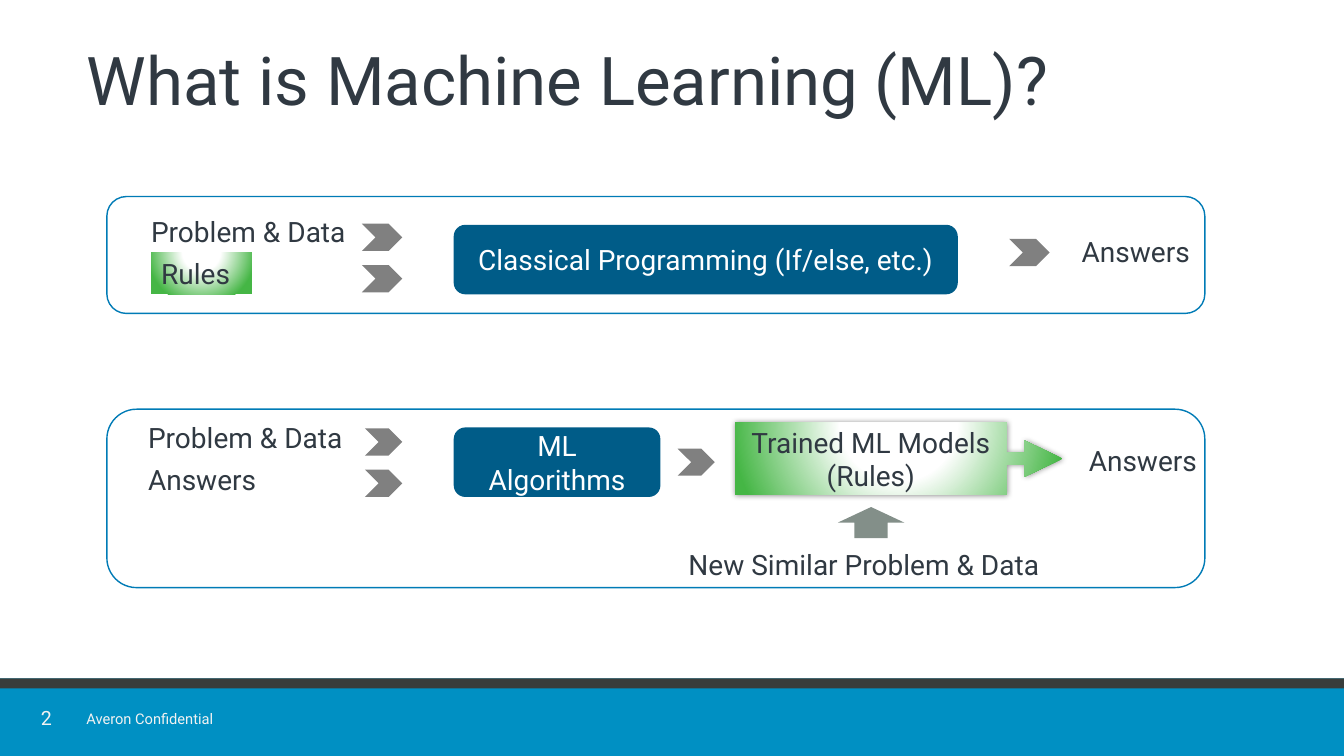
"""Build a slide that compares classical programming with machine learning."""
from dataclasses import dataclass

from lxml import etree
from pptx import Presentation
from pptx.dml import color as c
from pptx.enum import shapes, text
from pptx.oxml import parse_xml
from pptx.oxml import ns
from pptx import util as u


@dataclass(frozen=True)
class Theme:
    font: str = "Roboto"
    ink: str = "303942"
    white: str = "FFFFFF"
    footer_ink: str = "F2F2F2"
    footer: str = "0090C3"
    footer_edge: str = "383D3B"
    step: str = "005C88"
    outline: str = "007BB6"
    chevron: str = "808080"
    input_arrow: str = "838F89"
    rules: str = "45B645"
    title_size: float = 48
    body_size: float = 20
    number_size: float = 14
    footer_size: float = 10.5


theme = Theme()
kind = shapes.MSO_SHAPE
left, center = text.PP_ALIGN.LEFT, text.PP_ALIGN.CENTER
top, middle = text.MSO_ANCHOR.TOP, text.MSO_ANCHOR.MIDDLE

deck = Presentation()
deck.slide_width, deck.slide_height = u.Inches(13.33), u.Inches(7.5)
slide = deck.slides.add_slide(deck.slide_layouts[5])


def write(frame, words, size=theme.body_size, color=theme.ink, align=left,
          anchor=top, spacing=None, wrap=True, inset=None):
    frame.word_wrap = wrap
    frame.auto_size = text.MSO_AUTO_SIZE.NONE
    frame.vertical_anchor = anchor
    if inset is not None:
        frame.margin_left = frame.margin_right = u.Inches(inset)
        frame.margin_top = frame.margin_bottom = u.Inches(inset)
    paragraph = frame.paragraphs[0]
    paragraph.alignment = align
    paragraph.line_spacing = spacing
    run = paragraph.add_run()
    run.text = words
    run.font.name, run.font.size = theme.font, u.Pt(size)
    run.font.color.rgb = c.RGBColor.from_string(color)


def add_block(geometry, box, fill=None, line=None, glow=None):
    block = slide.shapes.add_shape(geometry, *map(u.Inches, box))
    block.shadow.inherit = False
    block.fill.background()
    block.line.fill.background()
    if fill:
        block.fill.solid()
        block.fill.fore_color.rgb = c.RGBColor.from_string(fill)
    if line:
        block.line.color.rgb = c.RGBColor.from_string(line)
        block.line.width = u.Pt(1)
    if glow:
        stops = "".join(
            f'<a:gs pos="{place * 1000}"><a:srgbClr val="{shade}"/></a:gs>'
            for place, shade in ((0, theme.white), (35, theme.white), (100, glow)))
        properties = block._element.spPr
        properties.replace(properties.find(ns.qn("a:noFill")), parse_xml(
            f'<a:gradFill {ns.nsdecls("a")} rotWithShape="1"><a:gsLst>{stops}</a:gsLst>'
            '<a:path path="circle"><a:fillToRect l="50000" t="-80000" r="50000" b="180000"/>'
            '</a:path></a:gradFill>'))
    return block


add_block(kind.RECTANGLE, (0, 6.73, 13.33, 0.77), fill=theme.footer)
add_block(kind.RECTANGLE, (0, 6.73, 13.33, 0.1), fill=theme.footer_edge)
page_number = slide.shapes.add_textbox(*map(u.Inches, (0.33, 7.02, 0.26, 0.23)))
write(page_number.text_frame, "2", size=theme.number_size, color=theme.footer_ink,
      align=center, anchor=middle, spacing=0.9, inset=0)
notice = slide.shapes.add_textbox(*map(u.Inches, (0.76, 6.99, 1.6, 0.28)))
write(notice.text_frame, "Averon Confidential", size=theme.footer_size,
      color=theme.footer_ink, wrap=False)

title = slide.shapes.title
title.left, title.top, title.width, title.height = map(u.Inches, (0.76, 0.32, 11.91, 1.08))
write(title.text_frame, "What is Machine Learning (ML)?", size=theme.title_size,
      anchor=middle, spacing=0.8)

rules = add_block(kind.RECTANGLE, (1.5, 2.5, 1, 0.42), glow=theme.rules)
write(rules.text_frame, "Rules")

for words, box in (
    ("Problem & Data", (1.4, 2.08, 2.21, 0.34)),
    ("Answers", (10.63, 2.28, 2.05, 0.42)),
    ("Problem & Data", (1.37, 4.12, 2.21, 0.34)),
    ("Answers", (1.37, 4.54, 2.23, 0.42)),
    ("Answers", (10.7, 4.35, 1.91, 0.42)),
    ("New Similar Problem & Data", (6.73, 5.38, 3.81, 0.35)),
):
    label = slide.shapes.add_textbox(*map(u.Inches, box))
    write(label.text_frame, words)

for words, box in (
    ("Classical Programming (If/else, etc.)", (4.5, 2.23, 5, 0.69)),
    ("ML Algorithms", (4.5, 4.24, 2.05, 0.69)),
):
    step = add_block(kind.ROUNDED_RECTANGLE, box, fill=theme.step)
    write(step.text_frame, words, color=theme.white, align=center, anchor=middle)

for width, places in (
    (0.4, ((3.59, 2.22), (3.59, 2.63), (10.01, 2.37))),
    (0.37, ((3.62, 4.25), (3.62, 4.66), (6.72, 4.45))),
):
    for x, y in places:
        add_block(kind.CHEVRON, (x, y, width, 0.27), fill=theme.chevron)

models = add_block(kind.RIGHT_ARROW_CALLOUT, (7.29, 4.19, 3.25, 0.72), glow=theme.rules)
for index, ratio in enumerate((0.172, 0.25, 0.527, 0.829)):
    models.adjustments[index] = ratio
write(models.text_frame, "Trained ML Models (Rules)", align=center, anchor=middle)
effects = models._element.spPr.find(ns.qn("a:effectLst"))
shadow = etree.SubElement(effects, ns.qn("a:outerShdw"), blurRad=str(u.Pt(4)), dist="0")
shade = etree.SubElement(shadow, ns.qn("a:srgbClr"), val="000000")
etree.SubElement(shade, ns.qn("a:alpha"), val="43000")

add_block(kind.UP_ARROW, (8.31, 5.03, 0.66, 0.31), fill=theme.input_arrow)
for y, height in ((1.95, 1.16), (4.06, 1.77)):
    add_block(kind.ROUNDED_RECTANGLE, (1.06, y, 10.89, height), line=theme.outline)

deck.save("out.pptx")
